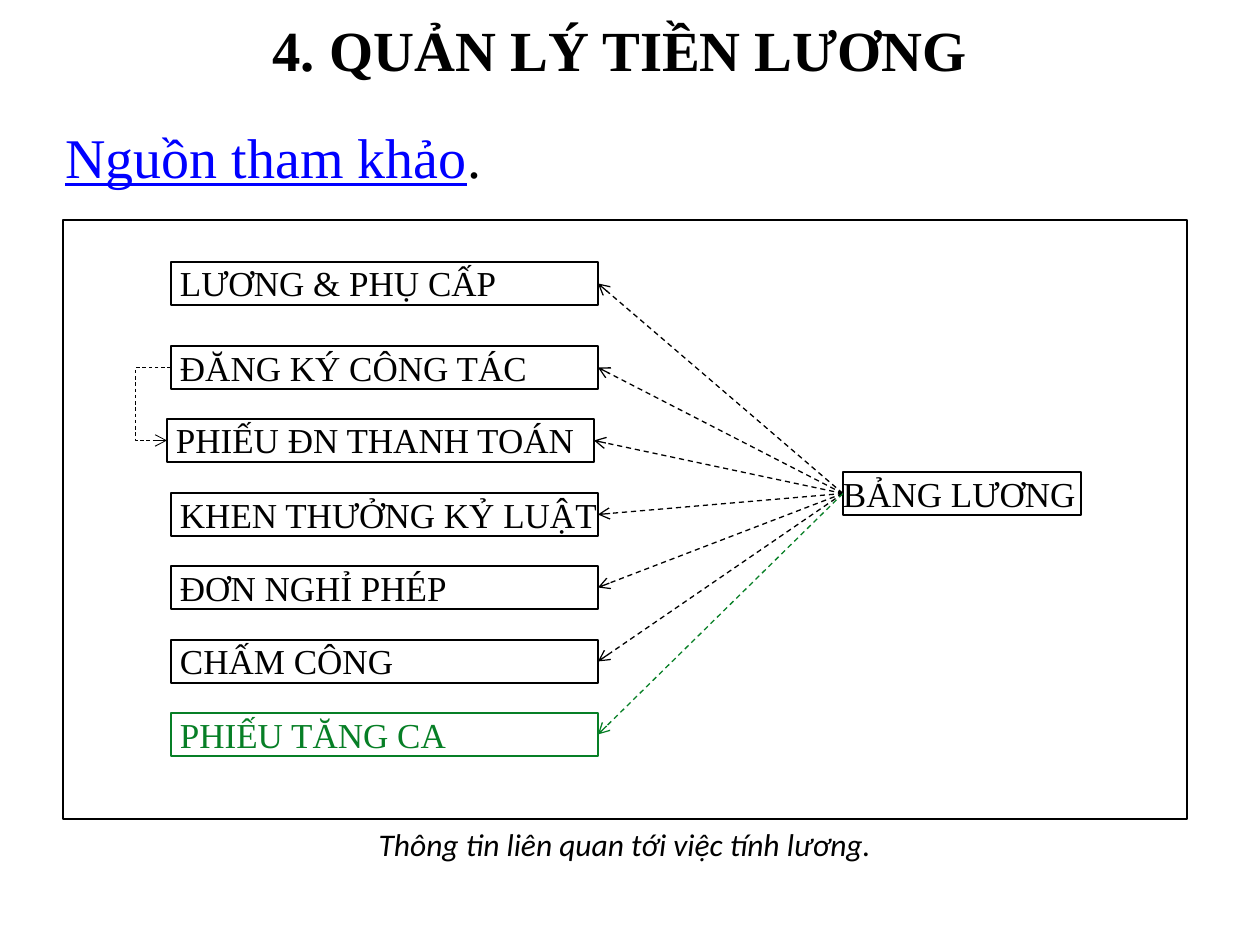
from pptx import Presentation
from pptx.dml.color import RGBColor
from pptx.enum.dml import MSO_LINE_DASH_STYLE as Dash
from pptx.enum.shapes import MSO_CONNECTOR as Connector, MSO_SHAPE as Shape
from pptx.enum.text import MSO_ANCHOR as Anchor, PP_ALIGN as Align
from pptx.oxml.ns import qn
from pptx.util import Pt
from lxml.etree import SubElement

EMU_PER_PX = 914400 // 126
TOP, LEFT, BOTTOM, RIGHT = range(4)
BLACK, BLUE, GREEN = "000000", "0000FF", "077F26"


def px(length):
    return length * EMU_PER_PX


def rgb(color):
    return RGBColor.from_string(color)


class Diagram:
    serif = "Times New Roman"
    sans = "Calibri"

    def __init__(self, page):
        self.page = page

    def format_span(self, span, size, color=BLACK, font=None):
        span.font.size = Pt(size)
        span.font.name = font or self.serif
        span.font.color.rgb = rgb(color)

    def text(self, area, words, size, font=None, align=Align.LEFT, anchor=Anchor.TOP):
        box = self.page.shapes.add_textbox(*map(px, area))
        frame = box.text_frame
        frame.word_wrap = True
        frame.vertical_anchor = anchor
        frame.text = words
        para = frame.paragraphs[0]
        para.alignment = align
        self.format_span(para.runs[0], size, font=font)
        return para

    def rectangle(self, area, words="", color=BLACK, inset=0):
        box = self.page.shapes.add_shape(Shape.RECTANGLE, *map(px, area))
        box.shadow.inherit = False
        box.fill.background()
        box.line.color.rgb = rgb(color)
        box.line.width = Pt(0.75)
        if words:
            frame = box.text_frame
            frame.word_wrap = True
            frame.vertical_anchor = Anchor.TOP
            frame.margin_left = px(inset)
            frame.margin_top = frame.margin_right = frame.margin_bottom = 0
            frame.text = words
            para = frame.paragraphs[0]
            para.alignment = Align.LEFT
            self.format_span(para.runs[0], 20, color)
        return box

    def arrow(self, start, start_side, end, end_side, color=BLACK,
              kind=Connector.STRAIGHT, width=0.75):
        link = self.page.shapes.add_connector(kind, 0, 0, 0, 0)
        link.begin_connect(start, start_side)
        link.end_connect(end, end_side)
        link.line.color.rgb = rgb(color)
        link.line.width = Pt(width)
        link.line.dash_style = Dash.DASH
        properties = link._element.spPr
        SubElement(properties.find(qn("a:ln")), qn("a:tailEnd"), type="arrow")
        SubElement(properties, qn("a:effectLst"))
        return link

    def bend(self, link, bend_x):
        # Place the vertical leg of an elbow as a share of its width
        share = (link.begin_x - px(bend_x)) / (link.begin_x - link.end_x)
        geometry = link._element.spPr.find(qn("a:prstGeom"))
        guides = geometry.find(qn("a:avLst"))
        SubElement(guides, qn("a:gd"), name="adj1", fmla=f"val {round(share * 100000)}")


def main():
    deck = Presentation()
    deck.slide_width, deck.slide_height = px(1260), px(945)
    diagram = Diagram(deck.slides.add_slide(deck.slide_layouts[6]))

    # Heading and reference
    title = diagram.text((53, 10, 1134, 78), "4. QUẢN LÝ TIỀN LƯƠNG", 32.4,
                         align=Align.CENTER, anchor=Anchor.MIDDLE)
    title.runs[0].font.bold = True
    reference = diagram.text((53, 116, 1134, 179), "Nguồn tham khảo", 32)
    source = reference.runs[0]
    source.font.color.rgb = rgb(BLUE)
    source.font.underline = True
    period = reference.add_run()
    period.text = "."
    diagram.format_span(period, 32)

    # Frame and payroll table
    diagram.rectangle((63, 220, 1124, 599))
    payroll = diagram.rectangle((843, 472, 238, 43), "BẢNG LƯƠNG")

    # Inputs of the payroll
    inputs = [
        (171, 262, "LƯƠNG & PHỤ CẤP", BLACK),
        (171, 346, "ĐĂNG KÝ CÔNG TÁC", BLACK),
        (167, 419, "PHIẾU ĐN THANH TOÁN", BLACK),
        (171, 493, "KHEN THƯỞNG KỶ LUẬT", BLACK),
        (171, 566, "ĐƠN NGHỈ PHÉP", BLACK),
        (171, 640, "CHẤM CÔNG", BLACK),
        (171, 713, "PHIẾU TĂNG CA", GREEN),
    ]
    boxes = []
    for left, top, words, color in inputs:
        box = diagram.rectangle((left, top, 427, 43), words, color, inset=9)
        diagram.arrow(payroll, LEFT, box, RIGHT, color)
        boxes.append(box)

    # Work trip leads to payment request
    trip, payment = boxes[1:3]
    elbow = diagram.arrow(trip, LEFT, payment, LEFT, kind=Connector.ELBOW, width=0.5)
    diagram.bend(elbow, 136)

    # Caption
    caption = diagram.text((63, 819, 1124, 50), "Thông tin liên quan tới việc tính lương.",
                           18, diagram.sans, Align.CENTER)
    caption.runs[0].font.italic = True

    deck.save("out.pptx")


if __name__ == "__main__":
    main()
